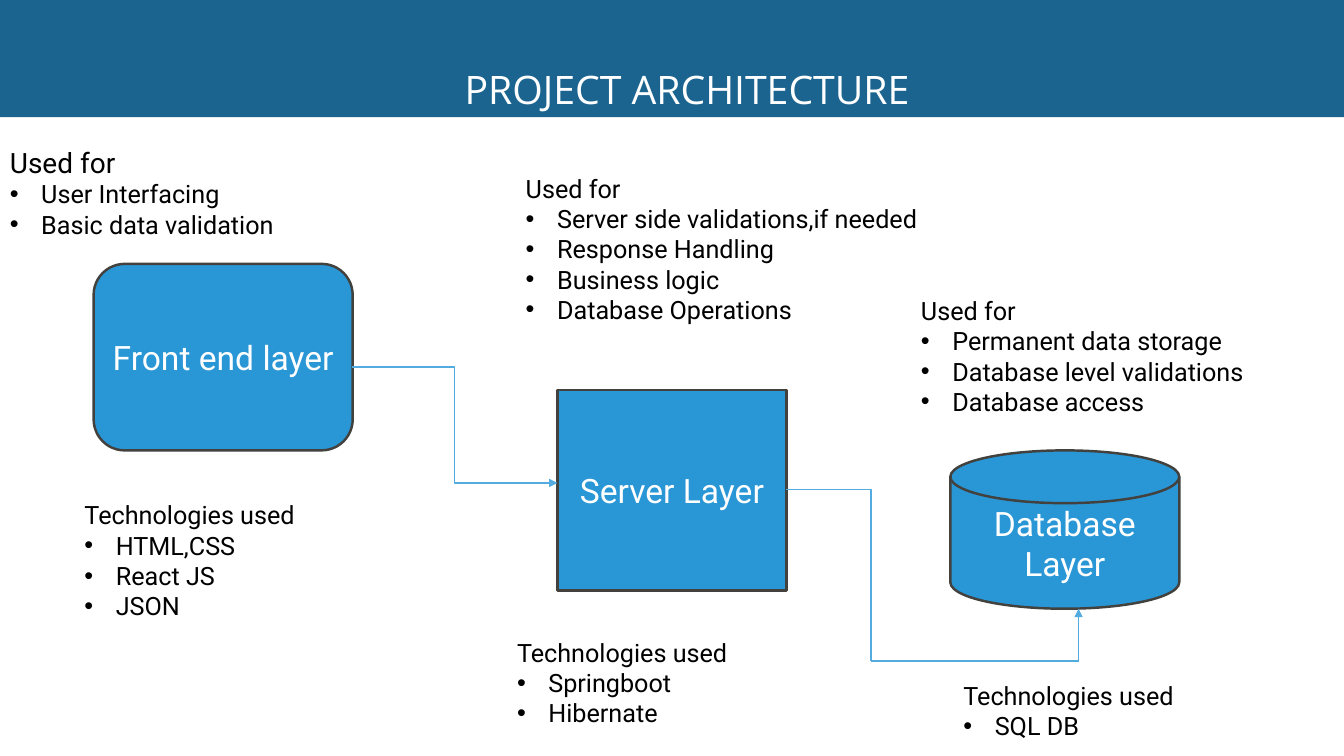
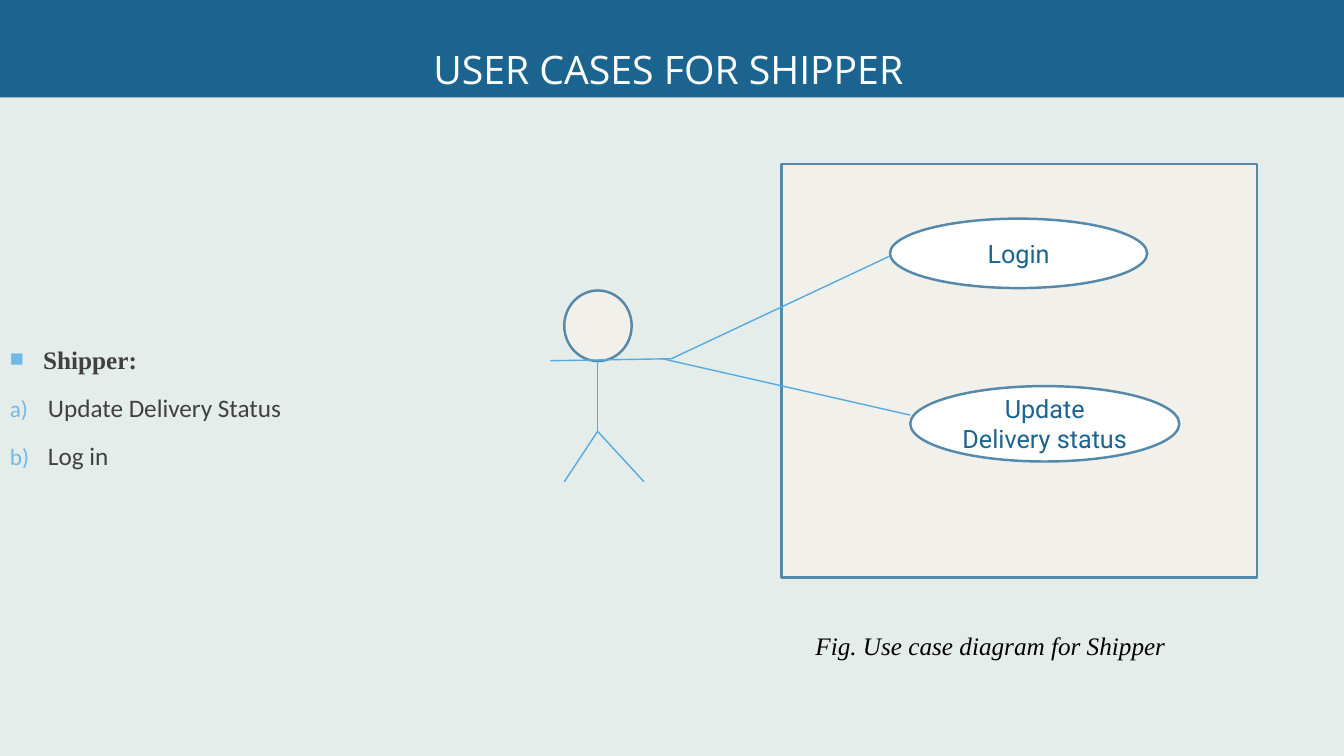
from dataclasses import dataclass

from lxml import etree
from pptx import Presentation
from pptx.dml.color import RGBColor
from pptx.enum.shapes import MSO_CONNECTOR, MSO_SHAPE
from pptx.enum.text import MSO_ANCHOR, MSO_AUTO_SIZE, PP_ALIGN
from pptx.oxml.ns import qn
from pptx.util import Cm, Pt

RECT = MSO_SHAPE.RECTANGLE
ROUND = MSO_SHAPE.ROUNDED_RECTANGLE
DISK = MSO_SHAPE.FLOWCHART_MAGNETIC_DISK
OVAL = MSO_SHAPE.OVAL
LINE = MSO_CONNECTOR.STRAIGHT
ELBOW = MSO_CONNECTOR.ELBOW
LEFT, CENTER = PP_ALIGN.LEFT, PP_ALIGN.CENTER
TOP, MIDDLE, BOTTOM = MSO_ANCHOR.TOP, MSO_ANCHOR.MIDDLE, MSO_ANCHOR.BOTTOM
FIXED = MSO_AUTO_SIZE.NONE
WIDTH, HEIGHT = 33.87, 19.05


@dataclass(frozen=True)
class Theme:
    """Colours, fonts and type sizes of the deck."""
    band: str = "1B648F"
    layer: str = "2996D6"
    edge: str = "42413E"
    link: str = "54ABDF"
    panel: str = "E5EDEB"
    cream: str = "F2F0EB"
    rim: str = "5489A9"
    mark: str = "71B9E4"
    white: str = "FFFFFF"
    black: str = "000000"
    gray: str = "404040"
    head: str = "Open Sans"
    sans: str = "Roboto"
    body: str = "Calibri"
    serif: str = "Times New Roman"
    title: int = 28
    label: int = 24
    lead: int = 20
    text: int = 18
    thick: float = 1.75
    thin: float = 1


T = Theme()


def paint(fill, color):
    """Give a fill one solid colour."""
    fill.solid()
    fill.fore_color.rgb = RGBColor.from_string(color)


def write(para, text, font, size, color, bold=False, italic=False):
    """Add one formatted run to a paragraph."""
    run = para.add_run()
    run.text = text
    face = run.font
    face.name, face.size = font, Pt(size)
    face.bold, face.italic = bold, italic
    face.color.rgb = RGBColor.from_string(color)


def bullet(para, indent, kind, color=None, scale=None, **attrs):
    """Give a paragraph a hanging bullet or number."""
    props = para._p.get_or_add_pPr()
    props.set("marL", str(Cm(indent)))
    props.set("indent", str(-Cm(indent)))
    if color:
        tint = etree.SubElement(props, qn("a:buClr"))
        etree.SubElement(tint, qn("a:srgbClr"), val=color)
    if scale:
        etree.SubElement(props, qn("a:buSzPct"), val=str(scale * 1000))
    if kind == "a:buChar":
        etree.SubElement(props, qn("a:buFont"), typeface="Arial")
    etree.SubElement(props, qn(kind), **attrs)


def add_page(deck, text, height, inset):
    """Add a slide whose title fills the top band."""
    page = deck.slides.add_slide(deck.slide_layouts[5])
    title = page.shapes.title
    title.left, title.top = Cm(0), Cm(0)
    title.width, title.height = Cm(WIDTH), Cm(height)
    paint(title.fill, T.band)
    frame = title.text_frame
    frame.auto_size, frame.word_wrap = FIXED, True
    frame.vertical_anchor = BOTTOM
    frame.margin_left = Cm(inset)
    para = frame.paragraphs[0]
    para.alignment = LEFT
    write(para, text, T.head, T.title, T.white)
    return page


def add_box(page, kind, box, fill, edge=None):
    """Add a preset shape with a flat fill and an optional outline."""
    shape = page.shapes.add_shape(kind, *map(Cm, box))
    shape.shadow.inherit = False
    paint(shape.fill, fill)
    if edge:
        paint(shape.line.fill, edge)
        shape.line.width = Pt(T.thick)
    else:
        shape.line.fill.background()
    return shape


def add_label(shape, text, size, color):
    """Centre a text inside a shape."""
    frame = shape.text_frame
    frame.word_wrap, frame.vertical_anchor = True, MIDDLE
    para = frame.paragraphs[0]
    para.alignment = CENTER
    write(para, text, T.sans, size, color)


def add_frame(page, box):
    """Add a wrapping text box and return its frame."""
    frame = page.shapes.add_textbox(*map(Cm, box)).text_frame
    frame.word_wrap, frame.vertical_anchor = True, TOP
    return frame


def add_list(page, box, head, items, size=T.text):
    """Add a heading with bulleted items below it."""
    frame = add_frame(page, box)
    write(frame.paragraphs[0], head, T.sans, size, T.black)
    for item in items:
        para = frame.add_paragraph()
        bullet(para, 0.79, "a:buChar", char="•")
        write(para, item, T.sans, T.text, T.black)


def add_link(page, start, end, kind=LINE, arrow=False, preset=None):
    """Draw a thin connector, with an arrowhead if asked."""
    link = page.shapes.add_connector(kind, *map(Cm, start + end))
    paint(link.line.fill, T.link)
    link.line.width = Pt(T.thin)
    props = link._element.spPr
    if arrow:
        etree.SubElement(props.find(qn("a:ln")), qn("a:tailEnd"),
                         type="triangle")
    if preset:
        props.find(qn("a:prstGeom")).set("prst", preset)
    etree.SubElement(props, qn("a:effectLst"))


def add_roles(page, top):
    """Add the tinted panel that lists what the shipper does."""
    panel = add_box(page, RECT, (0, top, WIDTH, HEIGHT - top), T.panel)
    frame = panel.text_frame
    frame.word_wrap, frame.vertical_anchor = True, MIDDLE
    frame.margin_bottom = Cm(1.19)
    square = dict(kind="a:buChar", char="■")
    letter = dict(kind="a:buAutoNum", type="alphaLcParenR")
    rows = [
        ("Shipper:", T.serif, True, 1.1, 0.84, square),
        ("Update Delivery Status", T.body, False, 1.15, 0.96, letter),
        ("Log in", T.body, False, 1.15, 0.96, letter),
    ]
    for i, (text, font, bold, space, indent, mark) in enumerate(rows):
        para = frame.add_paragraph() if i else frame.paragraphs[0]
        para.alignment, para.line_spacing = LEFT, space
        para.space_before, para.space_after = Pt(3.6), Pt(6)
        bullet(para, indent, color=T.mark, scale=92, **mark)
        write(para, text, font, T.text, T.gray, bold)


def add_actor(page):
    """Draw the stick figure."""
    add_box(page, OVAL, (14.22, 7.32, 1.7, 1.78), T.cream, T.rim)
    neck, hip = (15.06, 9.09), (15.06, 10.87)
    add_link(page, neck, hip)
    add_link(page, (16.94, 9.04), (13.87, 9.09))
    for foot in (16.23, 14.22):
        add_link(page, hip, (foot, 12.14))


def build_layers(deck):
    """Build the architecture slide."""
    page = add_page(deck, "PROJECT ARCHITECTURE", 2.95, 11.71)
    layers = [
        (ROUND, (2.36, 6.65, 6.53, 4.7), "Front end layer"),
        (RECT, (14.05, 9.83, 5.77, 5.05), "Server Layer"),
        (DISK, (23.95, 11.35, 5.77, 3.99), "Database Layer"),
    ]
    for kind, box, text in layers:
        shape = add_box(page, kind, box, T.layer, T.edge)
        add_label(shape, text, T.label, T.white)

    turn, under = (21.95, 16.66), (27.18, 16.66)
    add_link(page, (8.86, 9.25), (14.05, 12.17), ELBOW, arrow=True)
    add_link(page, (19.81, 12.34), turn, ELBOW, preset="bentConnector2")
    add_link(page, under, turn)
    add_link(page, under, (27.18, 15.34), arrow=True)

    use, tech = "Used for", "Technologies used"
    add_list(page, (0, 3.53, 9.83, 2.64), use,
             ["User Interfacing", "Basic data validation"], T.lead)
    lists = [
        ((13.0, 4.24, 10.95, 4.11), use,
         ["Server side validations,if needed", "Response Handling",
          "Business logic", "Database Operations"]),
        ((12.78, 15.93, 7.04, 2.57), tech, ["Springboot", "Hibernate"]),
        ((1.88, 12.47, 8.03, 3.33), tech, ["HTML,CSS", "React JS", "JSON"]),
        ((24.03, 17.02, 6.3, 1.8), tech, ["SQL DB"]),
        ((22.96, 7.32, 9.45, 3.33), use,
         ["Permanent data storage", "Database level validations",
          "Database access"]),
    ]
    for box, head, items in lists:
        add_list(page, box, head, items)


def build_cases(deck):
    """Build the shipper use case slide."""
    top = 2.46
    page = add_page(deck, "USER CASES FOR SHIPPER", top, 10.92)
    add_roles(page, top)
    add_actor(page)
    add_box(page, RECT, (19.69, 4.14, 11.99, 10.41), T.cream, T.rim)
    cases = [
        ((22.94, 9.73, 6.78, 1.9), "Update Delivery status"),
        ((22.43, 5.51, 6.48, 1.75), "Login"),
    ]
    for box, text in cases:
        shape = add_box(page, OVAL, box, T.white, T.rim)
        add_label(shape, text, T.text, T.band)
    add_link(page, (16.92, 9.04), (22.43, 6.45))
    add_link(page, (16.69, 9.04), (22.94, 10.46))

    note = add_frame(page, (19.23, 15.75, 11.46, 1.02)).paragraphs[0]
    note.alignment = CENTER
    write(note, "Fig. Use case diagram for Shipper", T.serif, T.text,
          T.black, italic=True)


def main():
    """Build and save the deck."""
    deck = Presentation()
    deck.slide_width, deck.slide_height = Cm(WIDTH), Cm(HEIGHT)
    build_layers(deck)
    build_cases(deck)
    deck.save("out.pptx")


main()
